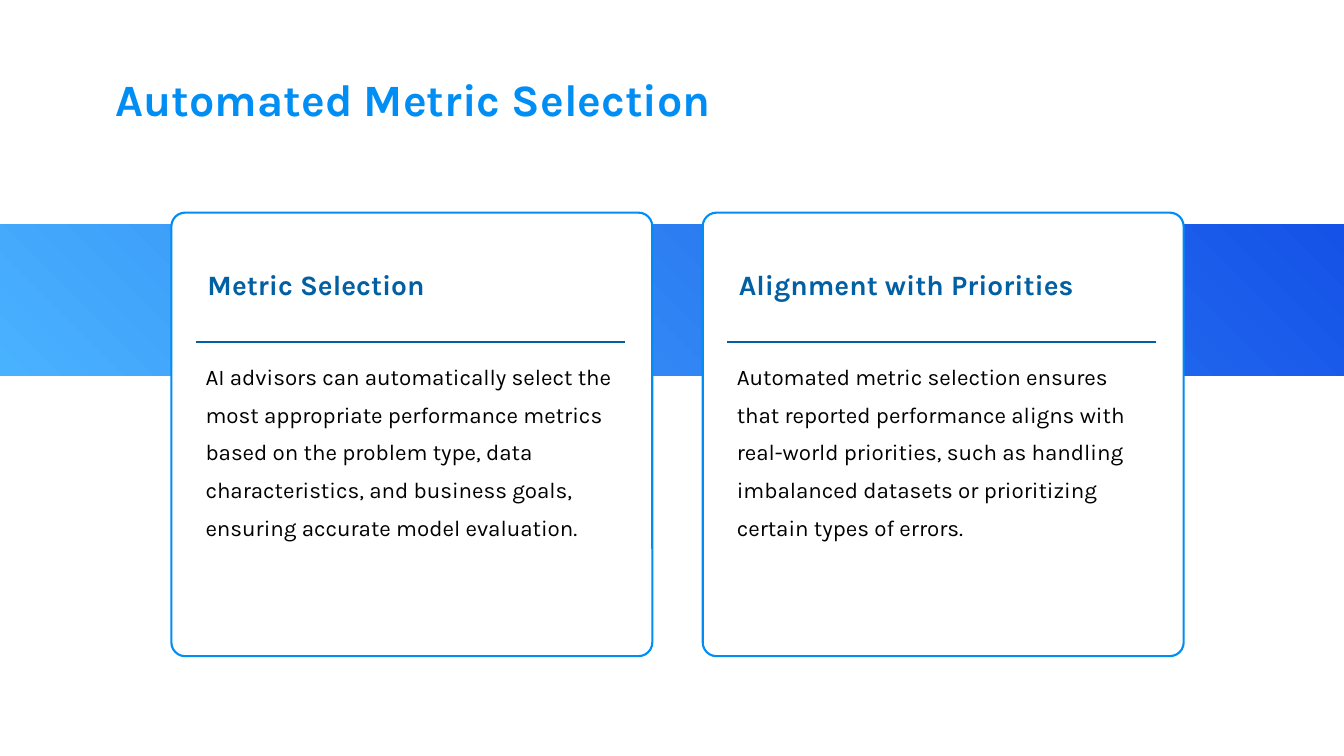
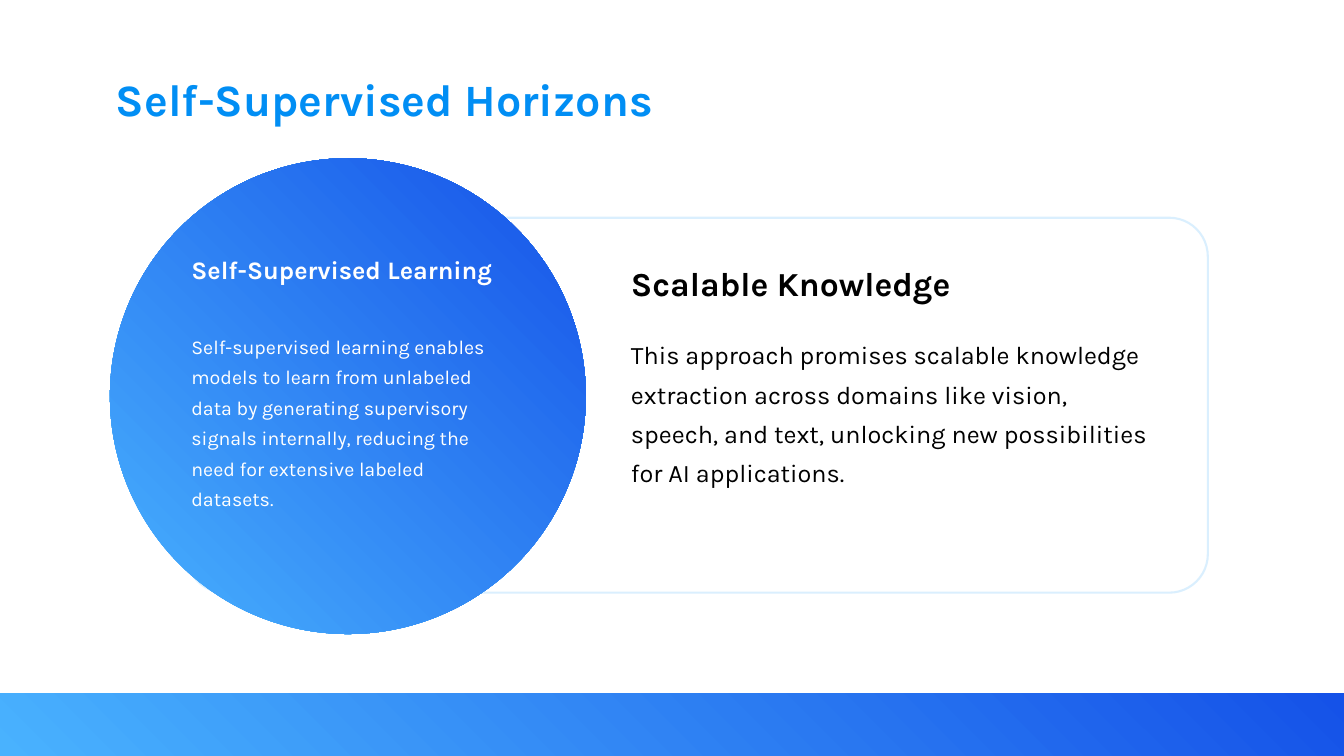
from lxml import etree
from pptx import Presentation
from pptx.dml.color import RGBColor
from pptx.enum.shapes import MSO_CONNECTOR, MSO_SHAPE
from pptx.enum.text import MSO_AUTO_SIZE, PP_ALIGN
from pptx.oxml.ns import qn
from pptx.util import Inches, Pt

RECT, ROUNDED, OVAL = MSO_SHAPE.RECTANGLE, MSO_SHAPE.ROUNDED_RECTANGLE, MSO_SHAPE.OVAL
STRAIGHT = MSO_CONNECTOR.STRAIGHT
GROW = MSO_AUTO_SIZE.SHAPE_TO_FIT_TEXT
JUSTIFY = PP_ALIGN.JUSTIFY

FONT = "Karla"
SLIDE_W, SLIDE_H = 13.33, 7.5
LINE_WIDTH = 1.5
COLORS = {
    "title": "018EF4",
    "heading": "015FA3",
    "sky": "49B2FE",
    "royal": "1552E8",
    "white": "FFFFFF",
    "black": "000000",
}


def rgb(name):
    return RGBColor.from_string(COLORS[name])


def add_text(slide, box, text, size, color, bold=False, spacing=None, align=None):
    text_box = slide.shapes.add_textbox(*map(Inches, box))
    frame = text_box.text_frame
    frame.word_wrap = True
    frame.auto_size = GROW
    frame.text = text
    paragraph = frame.paragraphs[0]
    if spacing:
        paragraph.line_spacing = spacing
    if align is not None:
        paragraph.alignment = align
    font = paragraph.runs[0].font
    font.name, font.size, font.bold = FONT, Pt(size), bold
    font.color.rgb = rgb(color)


def add_gradient(slide, kind, box):
    """Shape shaded from sky at bottom left to royal at top right."""
    shape = slide.shapes.add_shape(kind, *map(Inches, box))
    shape.shadow.inherit = False
    shape.line.fill.background()
    shape.fill.gradient()
    shape.fill.gradient_angle = 45
    for stop, name in zip(shape.fill.gradient_stops, ("sky", "royal")):
        stop.color.rgb = rgb(name)


def add_panel(slide, box, line_color, corner, opacity=100):
    """White rounded panel with a coloured outline."""
    panel = slide.shapes.add_shape(ROUNDED, *map(Inches, box))
    panel.shadow.inherit = False
    panel.adjustments[0] = corner
    panel.fill.solid()
    panel.fill.fore_color.rgb = rgb("white")
    panel.line.width = Pt(LINE_WIDTH)
    panel.line.color.rgb = rgb(line_color)
    if opacity < 100:
        outline_color = panel.line._get_or_add_ln().find(".//" + qn("a:srgbClr"))
        alpha = etree.SubElement(outline_color, qn("a:alpha"))
        alpha.set("val", str(opacity * 1000))


def add_rule(slide, left, top, width):
    rule = slide.shapes.add_connector(
        STRAIGHT, *map(Inches, (left, top, left + width, top)))
    rule.line.width = Pt(LINE_WIDTH)
    rule.line.color.rgb = rgb("heading")
    etree.SubElement(rule._element.spPr, qn("a:effectLst"))


def start_slide(prs, title, band_top, band_height):
    """Blank slide with the shared title and full-width gradient band."""
    slide = prs.slides.add_slide(prs.slide_layouts[6])
    add_text(slide, (1.05, 0.66, 10.72, 0.55), title, 32, "title", bold=True)
    add_gradient(slide, RECT, (0, band_top, SLIDE_W, band_height))
    return slide


def add_card(slide, box, heading, body):
    left, top, _, _ = box
    inner_left, inner_width = left + 0.24, 4.26
    add_panel(slide, box, "title", 0.031)
    add_rule(slide, inner_left, top + 1.28, inner_width)
    add_text(slide, (left + 0.26, top + 0.49, inner_width, 0.34),
             heading, 20, "heading", bold=True, align=JUSTIFY)
    add_text(slide, (inner_left, top + 1.34, inner_width, 1.87),
             body, 16, "black", spacing=1.4)


def add_circle_topic(slide, box, heading, body):
    left, top, _, _ = box
    text_left, text_width = left + 0.71, 3.3
    add_gradient(slide, OVAL, box)
    add_text(slide, (text_left, top + 0.9, text_width, 0.31),
             heading, 18, "white", bold=True)
    add_text(slide, (text_left, top + 1.63, text_width, 1.88),
             body, 14, "white", spacing=1.3)


def add_side_topic(slide, box, heading, body):
    left, top, _, _ = box
    text_left = left + 4.31
    add_panel(slide, box, "sky", 0.103, opacity=20)
    add_text(slide, (text_left, top + 0.4, 5.08, 0.4),
             heading, 24, "black", bold=True)
    add_text(slide, (text_left, top + 1.07, 5.35, 1.56),
             body, 18, "black", spacing=1.3)


def build_metric_slide(prs):
    slide = start_slide(prs, "Automated Metric Selection", 2.23, 1.5)
    cards = [
        ("Metric Selection",
         "AI advisors can automatically select the most appropriate performance "
         "metrics based on the problem type, data characteristics, and business "
         "goals, ensuring accurate model evaluation."),
        ("Alignment with Priorities",
         "Automated metric selection ensures that reported performance aligns "
         "with real-world priorities, such as handling imbalanced datasets or "
         "prioritizing certain types of errors."),
    ]
    card_width, gap = 4.77, 0.5
    for index, (heading, body) in enumerate(cards):
        left = 1.7 + index * (card_width + gap)
        add_card(slide, (left, 2.11, card_width, 4.4), heading, body)


def build_horizons_slide(prs):
    footer_height = 0.62
    slide = start_slide(prs, "Self-Supervised Horizons",
                        SLIDE_H - footer_height, footer_height)
    # The panel goes first so that the circle overlaps it
    add_side_topic(
        slide, (1.85, 2.16, 10.13, 3.72), "Scalable Knowledge",
        "This approach promises scalable knowledge extraction across domains "
        "like vision, speech, and text, unlocking new possibilities for AI "
        "applications.")
    add_circle_topic(
        slide, (1.09, 1.57, 4.72, 4.72), "Self-Supervised Learning",
        "Self-supervised learning enables models to learn from unlabeled data "
        "by generating supervisory signals internally, reducing the need for "
        "extensive labeled datasets.")


def main():
    prs = Presentation()
    prs.slide_width, prs.slide_height = Inches(SLIDE_W), Inches(SLIDE_H)
    build_metric_slide(prs)
    build_horizons_slide(prs)
    prs.save("out.pptx")


if __name__ == "__main__":
    main()
